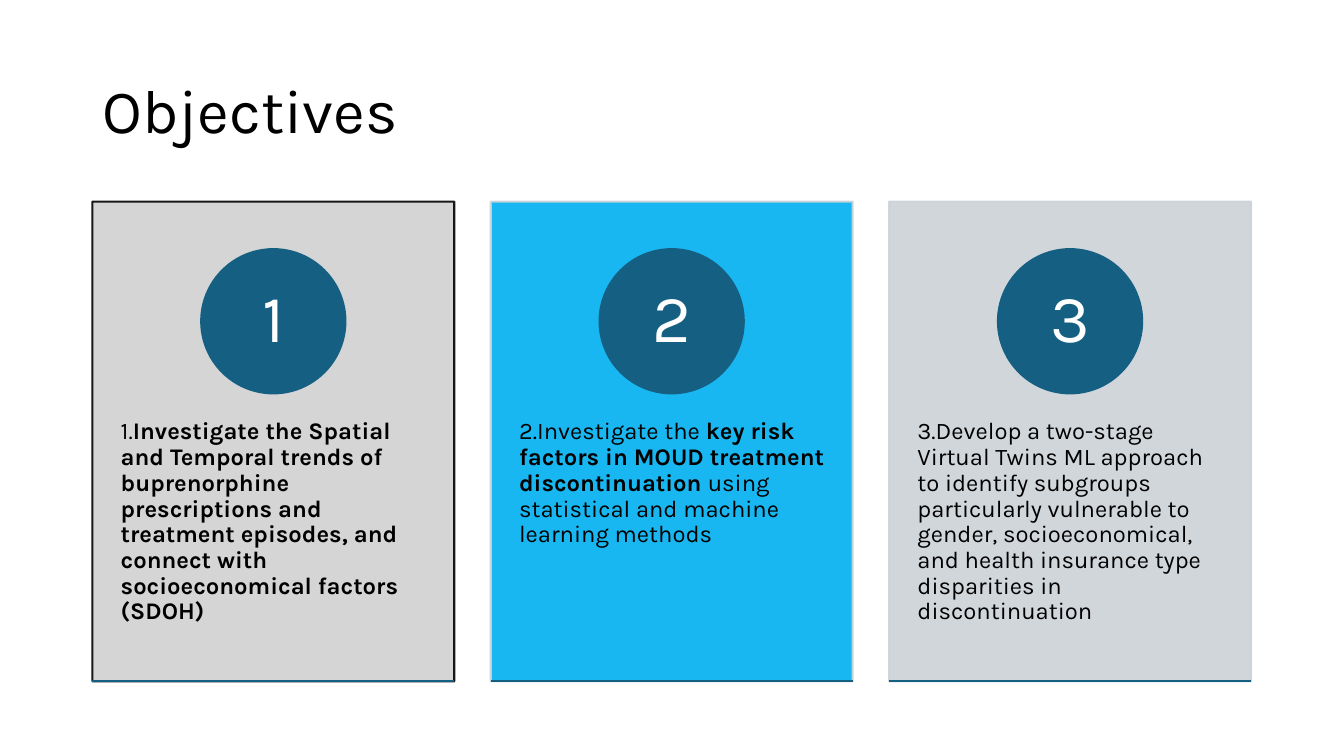
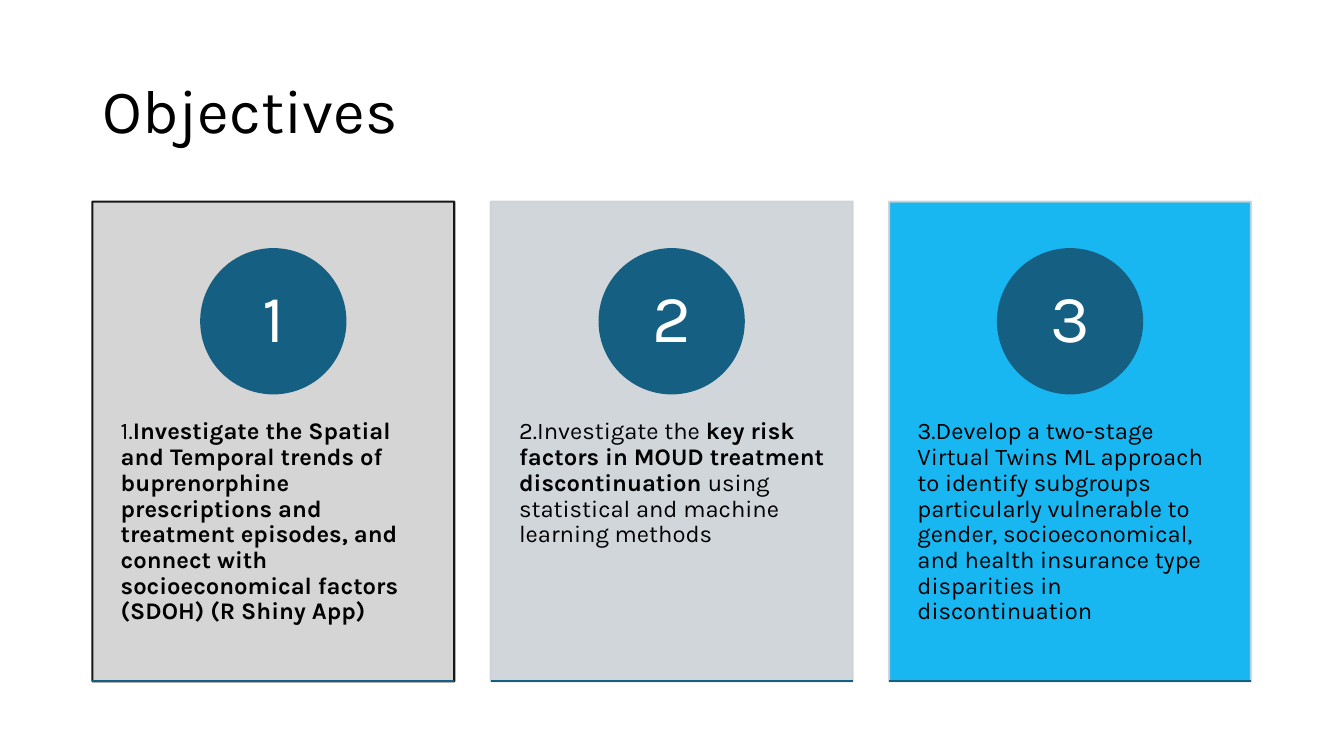
"""Build two Objectives slides, each with three numbered cards and one highlighted."""
from lxml import etree
from pptx import Presentation
from pptx.dml.color import RGBColor
from pptx.enum.shapes import MSO_CONNECTOR as Connector, MSO_SHAPE as Shape
from pptx.enum.text import MSO_ANCHOR as Anchor, PP_ALIGN as Align
from pptx.oxml.ns import qn
from pptx.util import Pt

COLORS = {
    "text": "000000",
    "white": "FFFFFF",
    "accent": "156082",
    "gray": "D1D1D1",
    "pale": "CCD2D8",
    "highlight": "00B0F0",
}
FONT = "Karla"
CARD_LEFT, CARD_TOP = 66, 144
CARD_WIDTH, CARD_HEIGHT, CARD_STEP = 258.5, 342.7, 284.55
CIRCLE_TOP, CIRCLE_SIZE = 178, 103
TEXT_TOP, TEXT_HEIGHT = 273.6, 206

TRENDS = (
    "Investigate the Spatial and Temporal trends of buprenorphine prescriptions "
    "and treatment episodes, and connect with socioeconomical factors (SDOH)"
)
RISKS = [
    ("2.Investigate the ", False),
    ("key risk factors in MOUD treatment discontinuation ", True),
    ("using statistical and machine learning methods", False),
]
TWINS = [(
    "3.Develop a two-stage Virtual Twins ML approach to identify subgroups "
    "particularly vulnerable to gender, socioeconomical, and health insurance type "
    "disparities in discontinuation", False,
)]
SLIDES = [
    (TRENDS, ["gray", "highlight", "pale"]),
    (TRENDS + " (R Shiny App)", ["gray", "pale", "highlight"]),
]
OUTLINES = ["text", "pale", "pale"]


def paint(shape, fill, outline, opacity=100):
    """Set a shape's fill and outline at one opacity, without a shadow."""
    shape.shadow.inherit = False
    shape.fill.solid()
    shape.fill.fore_color.rgb = RGBColor.from_string(COLORS[fill])
    shape.line.color.rgb = RGBColor.from_string(COLORS[outline])
    shape.line.width = Pt(1.5)
    if opacity < 100:
        for color in shape._element.spPr.iter(qn("a:srgbClr")):
            etree.SubElement(color, qn("a:alpha"), val=str(opacity * 1000))


def style(paragraph, size, color, align=Align.LEFT):
    """Apply the shared font and line spacing to a paragraph."""
    paragraph.alignment = align
    paragraph.line_spacing = 0.9
    paragraph.font.name = FONT
    paragraph.font.size = Pt(size)
    paragraph.font.color.rgb = RGBColor.from_string(COLORS[color])


presentation = Presentation()
presentation.slide_width, presentation.slide_height = Pt(960), Pt(540)
layout = presentation.slide_layouts.get_by_name("Title Only")

for trends, fills in SLIDES:
    slide = presentation.slides.add_slide(layout)
    title = slide.shapes.title
    title.left, title.top, title.width, title.height = Pt(66), Pt(28.8), Pt(828), Pt(104.4)
    title.text_frame.text = "Objectives"
    title.text_frame.vertical_anchor = Anchor.MIDDLE
    style(title.text_frame.paragraphs[0], 44, "text")

    objectives = [[("1.", False), (trends, True)], RISKS, TWINS]
    for index, (runs, fill, outline) in enumerate(zip(objectives, fills, OUTLINES)):
        left = CARD_LEFT + index * CARD_STEP
        bottom = CARD_TOP + CARD_HEIGHT
        card = slide.shapes.add_shape(
            Shape.RECTANGLE, Pt(left), Pt(CARD_TOP), Pt(CARD_WIDTH), Pt(CARD_HEIGHT))
        paint(card, fill, outline, opacity=90)

        text_box = slide.shapes.add_textbox(
            Pt(left), Pt(TEXT_TOP), Pt(CARD_WIDTH), Pt(TEXT_HEIGHT))
        frame = text_box.text_frame
        frame.word_wrap = True
        frame.margin_left = frame.margin_right = Pt(20.2)
        frame.margin_top = frame.margin_bottom = Pt(26)
        paragraph = frame.paragraphs[0]
        style(paragraph, 17, "text")
        for text, bold in runs:
            run = paragraph.add_run()
            run.text = text
            run.font.bold = bold

        circle = slide.shapes.add_shape(
            Shape.OVAL, Pt(left + (CARD_WIDTH - CIRCLE_SIZE) / 2), Pt(CIRCLE_TOP),
            Pt(CIRCLE_SIZE), Pt(CIRCLE_SIZE))
        paint(circle, "accent", "accent")
        frame = circle.text_frame
        frame.vertical_anchor = Anchor.MIDDLE
        frame.margin_left = frame.margin_right = Pt(8)
        frame.margin_top = frame.margin_bottom = Pt(1)
        frame.text = str(index + 1)
        style(frame.paragraphs[0], 48, "white", Align.CENTER)

        base_line = slide.shapes.add_connector(
            Connector.STRAIGHT, Pt(left), Pt(bottom), Pt(left + CARD_WIDTH), Pt(bottom))
        base_line.line.color.rgb = RGBColor.from_string(COLORS["accent"])
        base_line.line.width = Pt(1.5)
        etree.SubElement(base_line._element.spPr, qn("a:effectLst"))

presentation.save("out.pptx")
